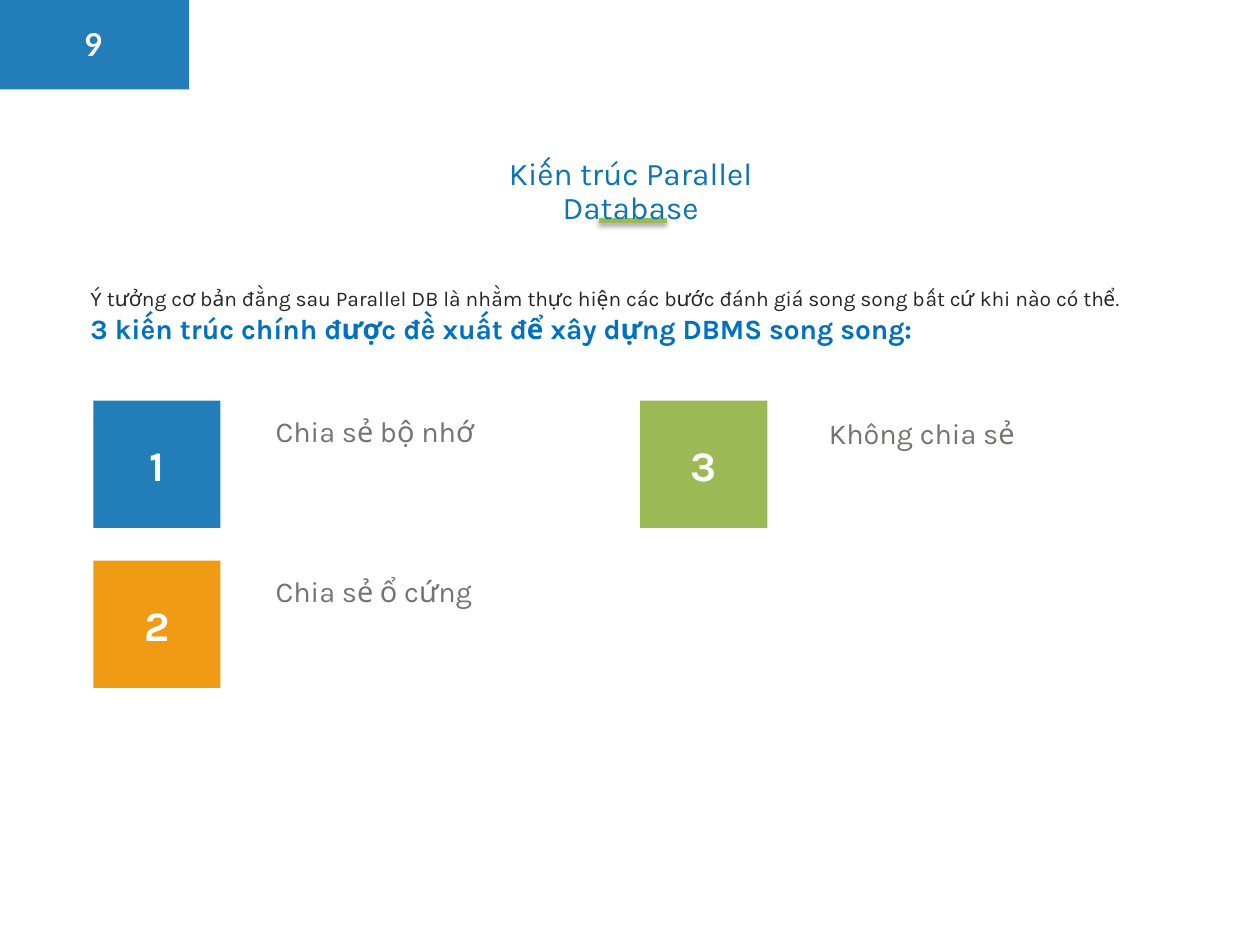
"""Build the slide on the three parallel database architectures."""
import dataclasses

import lxml.etree
import pptx
import pptx.dml.color
import pptx.enum.shapes
import pptx.enum.text
import pptx.oxml.ns
import pptx.util

Inches = pptx.util.Inches
Align = pptx.enum.text.PP_ALIGN
Anchor = pptx.enum.text.MSO_ANCHOR

COLORS = {
    "blue": "237DB9",
    "green": "9BB955",
    "orange": "F19B14",
    "white": "FFFFFF",
    "gray": "737572",
    "dark": "262626",
    "title": "0D73B2",
    "accent": "0070C0",
    "shadow": "000000",
}
TILE_SIZE = 1.01
TILE_TOP = 3.18
ROW_STEP = 1.27


@dataclasses.dataclass(frozen=True)
class Style:
    size: float
    color: str
    bold: bool = False
    font: str = "Karla"
    align: Align = Align.LEFT
    spacing: float = 1.0


@dataclasses.dataclass(frozen=True)
class Architecture:
    number: str
    label: str
    color: str
    tile_left: float
    label_left: float
    row: int
    label_drop: float


TILE_STYLE = Style(24, "white", bold=True, align=Align.CENTER)
LABEL_STYLE = Style(16.5, "gray", spacing=1.1)
TITLE_STYLE = Style(18, "title", align=Align.CENTER, spacing=0.9)
NUMBER_STYLE = Style(18, "white", bold=True, font="Lato", align=Align.CENTER)
INTRO_STYLE = Style(12, "dark")
HEADING_STYLE = Style(16, "accent", bold=True)

ARCHITECTURES = [
    Architecture("1", "Chia sẻ bộ nhớ", "blue", 0.74, 2.09, 0, 0.03),
    Architecture("2", "Chia sẻ ổ cứng", "orange", 0.74, 2.09, 1, 0.03),
    Architecture("3", "Không chia sẻ", "green", 5.08, 6.48, 0, 0.04),
]


def rgb(name: str) -> pptx.dml.color.RGBColor:
    """Return the named colour."""
    return pptx.dml.color.RGBColor.from_string(COLORS[name])


def write(frame, lines: list[tuple[str, Style]]) -> None:
    """Fill a text frame with one styled paragraph per line."""
    frame.word_wrap = True
    frame.text = "\n".join(text for text, _ in lines)
    for para, (_, style) in zip(frame.paragraphs, lines):
        para.alignment = style.align
        para.line_spacing = style.spacing
        for span in para.runs:
            span.font.name = style.font
            span.font.size = pptx.util.Pt(style.size)
            span.font.bold = style.bold
            span.font.color.rgb = rgb(style.color)


def add_rectangle(page, left: float, top: float, width: float, height: float, color: str):
    """Add a plain filled rectangle."""
    box = page.shapes.add_shape(
        pptx.enum.shapes.MSO_SHAPE.RECTANGLE,
        Inches(left), Inches(top), Inches(width), Inches(height),
    )
    box.shadow.inherit = False
    box.fill.solid()
    box.fill.fore_color.rgb = rgb(color)
    box.line.fill.background()
    return box


def add_text(page, left: float, top: float, width: float, height: float,
             lines: list[tuple[str, Style]]):
    """Add a text box that grows with its text and return its frame."""
    box = page.shapes.add_textbox(Inches(left), Inches(top), Inches(width), Inches(height))
    write(box.text_frame, lines)
    box.text_frame.auto_size = pptx.enum.text.MSO_AUTO_SIZE.SHAPE_TO_FIT_TEXT
    return box.text_frame


def add_page_number(page) -> None:
    """Add the corner block with the page number."""
    add_rectangle(page, 0, 0, 1.5, 0.71, "blue")
    frame = add_text(page, 0.58, 0.2, 0.33, 0.3, [("9", NUMBER_STYLE)])
    frame.vertical_anchor = Anchor.MIDDLE
    frame.margin_left = frame.margin_right = frame.margin_top = frame.margin_bottom = 0


def add_architecture(page, item: Architecture) -> None:
    """Add a numbered tile and its label."""
    top = TILE_TOP + item.row * ROW_STEP
    add_text(page, item.label_left, top + item.label_drop, 2.2, 0.41,
             [(item.label, LABEL_STYLE)])
    tile = add_rectangle(page, item.tile_left, top, TILE_SIZE, TILE_SIZE, item.color)
    write(tile.text_frame, [(item.number, TILE_STYLE)])
    tile.text_frame.vertical_anchor = Anchor.MIDDLE


def add_title_rule(page) -> None:
    """Add the short rule with a soft shadow under the title."""
    rule = page.shapes.add_connector(
        pptx.enum.shapes.MSO_CONNECTOR.STRAIGHT,
        Inches(5.29), Inches(1.75), Inches(4.75), Inches(1.75),
    )
    rule.line.color.rgb = rgb("green")
    rule.line.width = pptx.util.Pt(3)
    qn = pptx.oxml.ns.qn
    effects = lxml.etree.SubElement(rule._element.spPr, qn("a:effectLst"))
    shadow = lxml.etree.SubElement(
        effects, qn("a:outerShdw"),
        blurRad=str(pptx.util.Pt(3.1)), dist=str(pptx.util.Pt(1.6)),
        dir="5400000", rotWithShape="0",
    )
    color = lxml.etree.SubElement(shadow, qn("a:srgbClr"), val=COLORS["shadow"])
    lxml.etree.SubElement(color, qn("a:alpha"), val="38000")


def main() -> None:
    """Build and save the deck."""
    deck = pptx.Presentation()
    deck.slide_width, deck.slide_height = Inches(10), Inches(7.5)
    page = deck.slides.add_slide(deck.slide_layouts[6])
    add_page_number(page)
    for item in ARCHITECTURES:
        add_architecture(page, item)
    add_text(page, 0.62, 2.22, 8.77, 0.57, [
        ("Ý tưởng cơ bản đằng sau Parallel DB là nhằm thực hiện các bước "
         "đánh giá song song bất cứ khi nào có thể.", INTRO_STYLE),
        ("3 kiến trúc chính được đề xuất để xây dựng DBMS song song:", HEADING_STYLE),
    ])
    add_title_rule(page)
    add_text(page, 3.41, 1.21, 3.19, 0.37, [("Kiến trúc Parallel Database", TITLE_STYLE)])
    deck.save("out.pptx")


if __name__ == "__main__":
    main()
